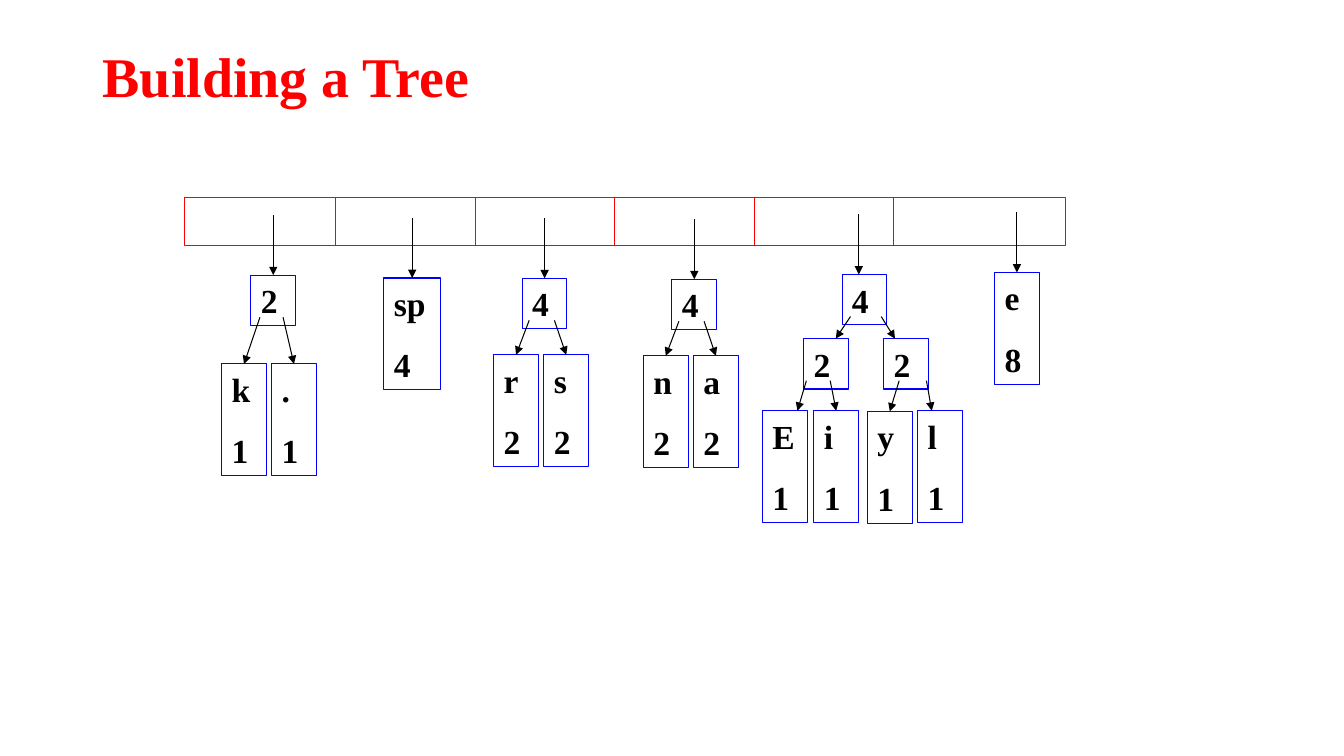
from dataclasses import dataclass

from lxml.etree import SubElement
from pptx import Presentation
from pptx.dml.color import RGBColor
from pptx.enum.shapes import MSO_CONNECTOR, MSO_SHAPE
from pptx.enum.text import MSO_ANCHOR, MSO_AUTO_SIZE, PP_ALIGN
from pptx.oxml.ns import qn
from pptx.util import Pt

COLORS = {"title": "FF0000", "queue": "FF0000", "node": "0000FF",
          "ink": "000000", "paper": "FFFFFF"}
FONT = "Times New Roman"
LINE_WIDTH = 0.75
NODE_WIDTH, SUM_HEIGHT, LEAF_HEIGHT = 32, 36, 80
ARROW_FROM_QUEUE = 43  # length of the arrow above each root
ARROW_FROM_PARENT = 30  # start of a branch below the parent's top


@dataclass
class Node:
    """A box placed at dx, dy from its parent; its arrow starts at start_dx
    in the parent and ends tip_dx away from the middle of the box's top."""
    lines: tuple
    dx: float
    dy: float
    start_dx: float = 0
    tip_dx: float = 0
    children: tuple = ()
    width: float = NODE_WIDTH


# Roots are placed relative to the top left corner of the queue.
FOREST = (
    Node(("2",), 47.5, 55.5, children=(
        Node(("k", "1"), -20.9, 63.4, 6.5),
        Node((".", "1"), 14.8, 63.4, 23))),
    Node(("sp", "4"), 142.6, 57.5, width=40.3),
    Node(("4",), 241.4, 57.7, children=(
        Node(("r", "2"), -20.4, 54.7, 5),
        Node(("s", "2"), 15.5, 54.7, 23))),
    Node(("4",), 348.4, 58.4, children=(
        Node(("n", "2"), -20.4, 54.7, 5),
        Node(("a", "2"), 15.4, 54.7, 23))),
    Node(("4",), 470, 55, tip_dx=-4, children=(
        Node(("2",), -27.5, 45.8, 6, 7, (
            Node(("E", "1"), -29.4, 51.5, 2, 9),
            Node(("i", "1"), 7.3, 51.5, 19))),
        Node(("2",), 29.8, 45.8, 28, -8, (
            Node(("y", "1"), -11.7, 52, 11),
            Node(("l", "1"), 24.3, 51.5, 30.5, -6))))),
    Node(("e", "8"), 579, 53.5),
)


def rgb(name):
    return RGBColor.from_string(COLORS[name])


def write(frame, lines, size, color, gap=0, spacing=None):
    for index, line in enumerate(lines):
        paragraph = frame.paragraphs[0] if index == 0 else frame.add_paragraph()
        paragraph.text = line
        paragraph.alignment = PP_ALIGN.LEFT
        paragraph.line_spacing = spacing
        paragraph.space_before = Pt(gap if index else 0)
        font = paragraph.font
        font.name, font.size, font.bold = FONT, Pt(size), True
        font.color.rgb = rgb(color)


def add_box(slide, left, top, width, height, color, fill=None):
    box = slide.shapes.add_shape(MSO_SHAPE.RECTANGLE, Pt(left), Pt(top),
                                 Pt(width), Pt(height))
    box.shadow.inherit = False
    if fill:
        box.fill.solid()
        box.fill.fore_color.rgb = rgb(fill)
    else:
        box.fill.background()
    box.line.color.rgb = rgb(color)
    box.line.width = Pt(LINE_WIDTH)
    return box


def add_line(slide, x1, y1, x2, y2, color, arrow=False):
    line = slide.shapes.add_connector(MSO_CONNECTOR.STRAIGHT, Pt(x1), Pt(y1),
                                      Pt(x2), Pt(y2))
    line.line.color.rgb = rgb(color)
    line.line.width = Pt(LINE_WIDTH)
    if arrow:
        SubElement(line.line._get_or_add_ln(), qn("a:tailEnd"), type="triangle")
    SubElement(line._element.spPr, qn("a:effectLst"))
    return line


def add_title(slide, left, top, width, height):
    title = slide.shapes.title
    title.left, title.top = Pt(left), Pt(top)
    title.width, title.height = Pt(width), Pt(height)
    title.text_frame.vertical_anchor = MSO_ANCHOR.MIDDLE
    write(title.text_frame, ["Building a Tree"], 40, "title", spacing=0.9)


def add_queue(slide, left, top, width, height):
    add_box(slide, left, top, width, height, "queue", "paper")
    first_cell, cell = 108.2, 99.65
    for index in range(len(FOREST) - 1):
        x = left + first_cell + index * cell
        add_line(slide, x, top, x, top + height, "queue")


def add_tree(slide, node, left, top, is_root=True):
    """Draw a node and its subtree relative to its parent's top left corner."""
    x, y = left + node.dx, top + node.dy
    height = LEAF_HEIGHT if len(node.lines) > 1 else SUM_HEIGHT
    box = add_box(slide, x, y, node.width, height, "node")
    frame = box.text_frame
    frame.word_wrap = True
    frame.auto_size = MSO_AUTO_SIZE.SHAPE_TO_FIT_TEXT
    frame.vertical_anchor = MSO_ANCHOR.TOP
    write(frame, node.lines, 24, "ink", gap=15)

    tip = x + node.width / 2 + node.tip_dx
    if is_root:
        start = (tip, y - ARROW_FROM_QUEUE)
    else:
        start = (left + node.start_dx, top + ARROW_FROM_PARENT)
    arrow = add_line(slide, *start, tip, y, "ink", arrow=True)
    if not node.tip_dx:
        arrow.end_connect(box, 0)
    for child in node.children:
        add_tree(slide, child, x, y, is_root=False)


def main():
    presentation = Presentation()
    presentation.slide_width, presentation.slide_height = Pt(960.5), Pt(540)
    slide = presentation.slides.add_slide(presentation.slide_layouts[5])
    add_title(slide, 66.2, 28.8, 828, 55.4)
    queue_left, queue_top = 131.8, 141.1
    add_queue(slide, queue_left, queue_top, 630, 34.6)
    for root in FOREST:
        add_tree(slide, root, queue_left, queue_top)
    presentation.save("out.pptx")


if __name__ == "__main__":
    main()
